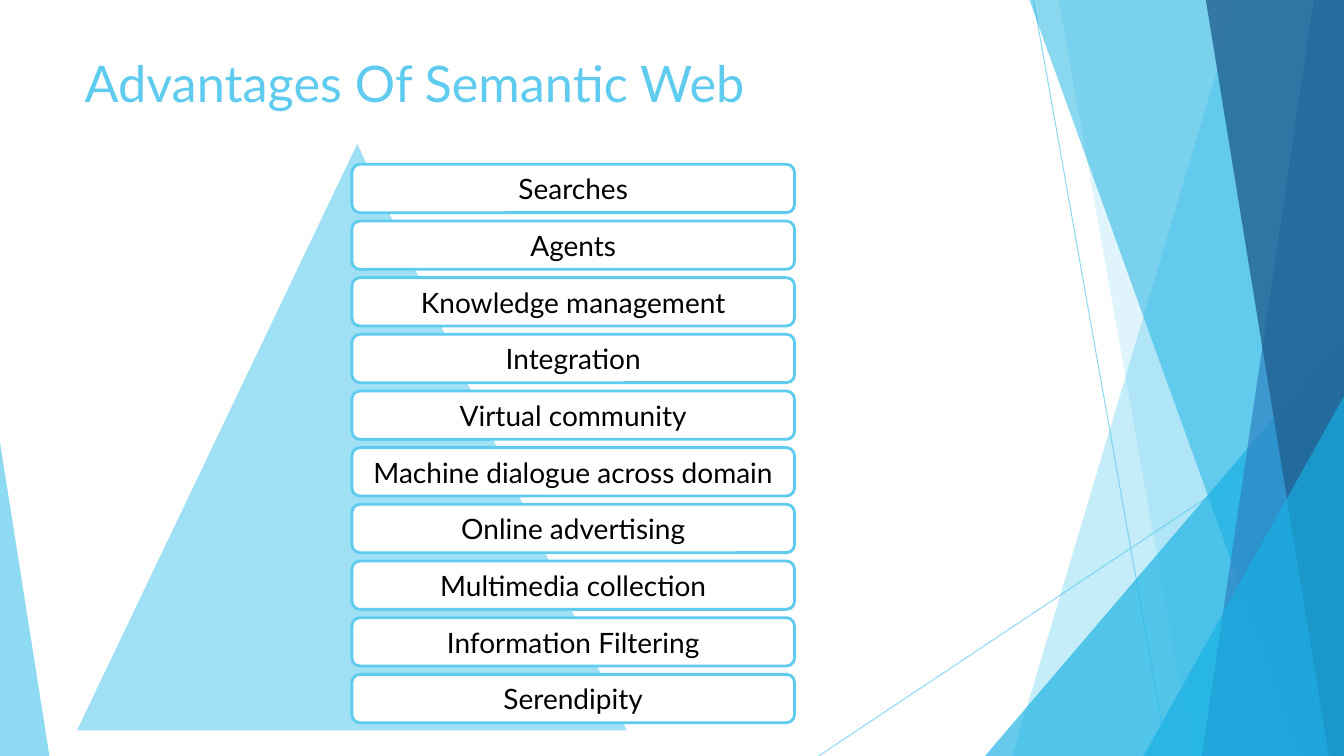
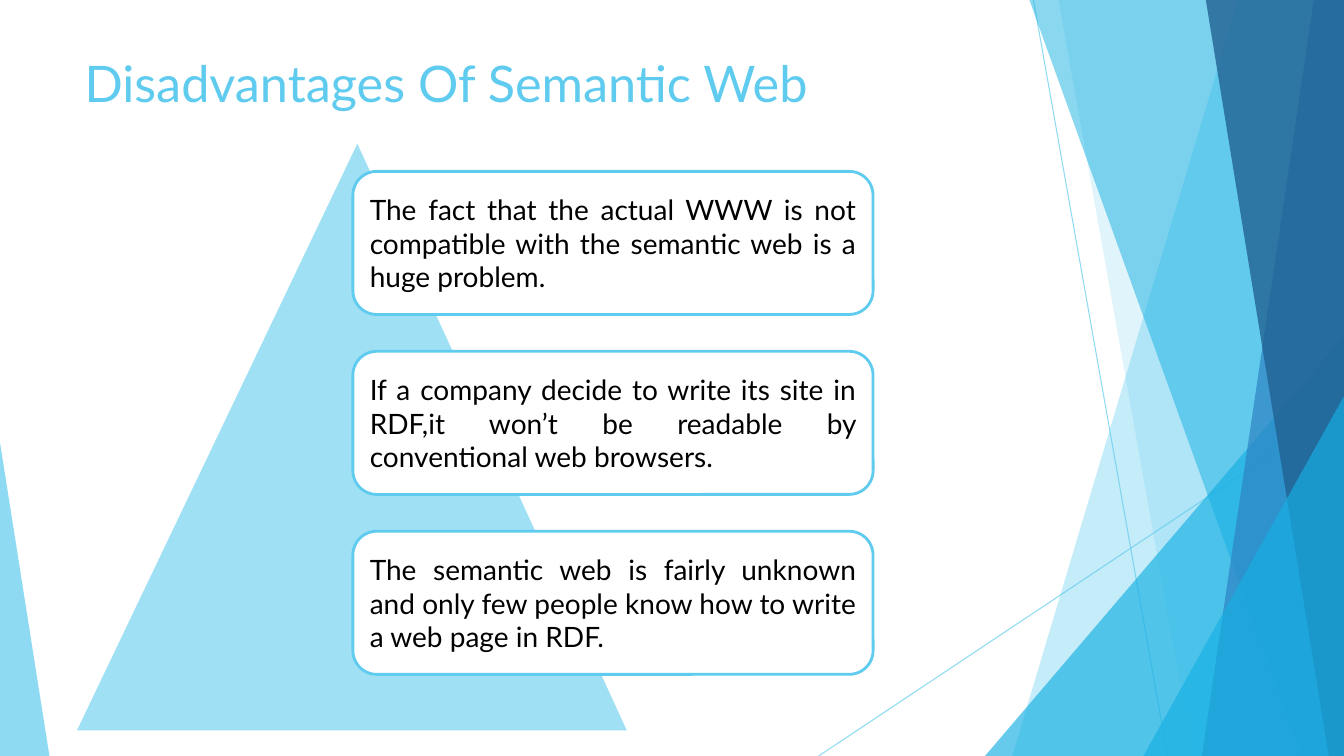
"""Build two slides on the advantages and disadvantages of the Semantic Web."""
from lxml import etree
from pptx import Presentation
from pptx.dml.color import RGBColor
from pptx.enum import shapes, text
from pptx.oxml.ns import qn
from pptx.util import Inches, Pt

COLORS = {
    "sky": "5FCBEF",
    "cyan": "16B0E3",
    "blue": "2E83C3",
    "navy": "226292",
    "pale": "9FE0F5",
    "white": "FFFFFF",
    "black": "000000",
}
FONT = "Lato"
WIDTH, HEIGHT = 13.33, 7.5

RAYS = [(10.25, 0, 11.58, HEIGHT), (WIDTH, 4.03, 8.12, HEIGHT)]

# Bands give the top and bottom of their left edge; triangles give left, top, width, height.
FACETS = [
    ("sky", 36, (12.28, 10.04)),
    ("sky", 20, (10.5, 11.83)),
    ("cyan", 66, (9.77, 3.33, 3.56, 4.17)),
    ("cyan", 50, (10.21, 12.91)),
    ("blue", 70, (13.03, 11.92)),
    ("navy", 80, (11.96, 13.18)),
    ("cyan", 66, (11.34, 3.93, 1.99, 3.57)),
    ("sky", 70, (0, 4.39, 0.49, 3.11)),
]

SLIDES = [
    {
        "title": "Advantages Of Semantic Web",
        "left": 3.49, "first": 1.63, "last": 6.69, "width": 4.39, "height": 0.48,
        "align": text.PP_ALIGN.CENTER,
        "cards": [
            "Searches",
            "Agents",
            "Knowledge management",
            "Integration",
            "Virtual community",
            "Machine dialogue across domain",
            "Online advertising",
            "Multimedia collection",
            "Information Filtering",
            "Serendipity",
        ],
    },
    {
        "title": "Disadvantages Of Semantic Web",
        "left": 3.5, "first": 1.7, "last": 5.27, "width": 5.16, "height": 1.42,
        "align": text.PP_ALIGN.JUSTIFY,
        "cards": [
            "The fact that the actual WWW is not compatible with the semantic web is a huge problem.",
            "If a company decide to write its site in RDF,it won’t be readable by conventional web browsers.",
            "The semantic web is fairly unknown and only few people know how to write a web page in RDF.",
        ],
    },
]


def paint(shape, fill=None, line=None, weight=2, opacity=100):
    if fill:
        shape.shadow.inherit = False
        shape.fill.solid()
        shape.fill.fore_color.rgb = RGBColor.from_string(COLORS[fill])
    if line:
        shape.line.color.rgb = RGBColor.from_string(COLORS[line])
        shape.line.width = Pt(weight)
    else:
        shape.line.fill.background()
    if opacity < 100:
        for color in shape._element.iter(qn("a:srgbClr")):
            etree.SubElement(color, qn("a:alpha"), val=str(opacity * 1000))


def write(shape, content, size=20, color="black", align=text.PP_ALIGN.LEFT,
          anchor=text.MSO_ANCHOR.MIDDLE):
    frame = shape.text_frame
    frame.word_wrap = True
    frame.vertical_anchor = anchor
    paragraph = frame.paragraphs[0]
    paragraph.alignment = align
    run = paragraph.add_run()
    run.text = content
    run.font.name = FONT
    run.font.size = Pt(size)
    run.font.color.rgb = RGBColor.from_string(COLORS[color])


presentation = Presentation()
presentation.slide_width = Inches(WIDTH)
presentation.slide_height = Inches(HEIGHT)

for content in SLIDES:
    slide = presentation.slides.add_slide(presentation.slide_layouts[6])

    for ends in RAYS:
        ray = slide.shapes.add_connector(shapes.MSO_CONNECTOR.STRAIGHT, *map(Inches, ends))
        paint(ray, line="sky", weight=0.75, opacity=70)
        etree.SubElement(ray._element.spPr, qn("a:effectLst"))

    for color, opacity, geometry in FACETS:
        if len(geometry) == 2:
            top, bottom = geometry
            outline = slide.shapes.build_freeform(Inches(top), 0)
            corners = [(WIDTH, 0), (WIDTH, HEIGHT), (bottom, HEIGHT)]
            outline.add_line_segments([(Inches(x), Inches(y)) for x, y in corners], close=True)
            facet = outline.convert_to_shape()
        else:
            facet = slide.shapes.add_shape(
                shapes.MSO_SHAPE.ISOSCELES_TRIANGLE, *map(Inches, geometry))
            facet.adjustments[0] = 0 if geometry[0] == 0 else 1
        paint(facet, fill=color, opacity=opacity)

    title = slide.shapes.add_textbox(Inches(0.74), Inches(0.47), Inches(9.4), Inches(1.64))
    write(title, content["title"], size=36, color="sky", anchor=text.MSO_ANCHOR.TOP)

    pyramid = slide.shapes.add_shape(
        shapes.MSO_SHAPE.ISOSCELES_TRIANGLE,
        Inches(0.74), Inches(1.39), Inches(5.5), Inches(5.87))
    pyramid.adjustments[0] = 0.51
    paint(pyramid, fill="pale", line="white")

    pitch = (content["last"] - content["first"]) / (len(content["cards"]) - 1)
    for index, label in enumerate(content["cards"]):
        card = slide.shapes.add_shape(
            shapes.MSO_SHAPE.FLOWCHART_ALTERNATE_PROCESS,
            Inches(content["left"]), Inches(content["first"] + index * pitch),
            Inches(content["width"]), Inches(content["height"]))
        paint(card, fill="white", line="sky")
        write(card, label, align=content["align"])

presentation.save("out.pptx")
